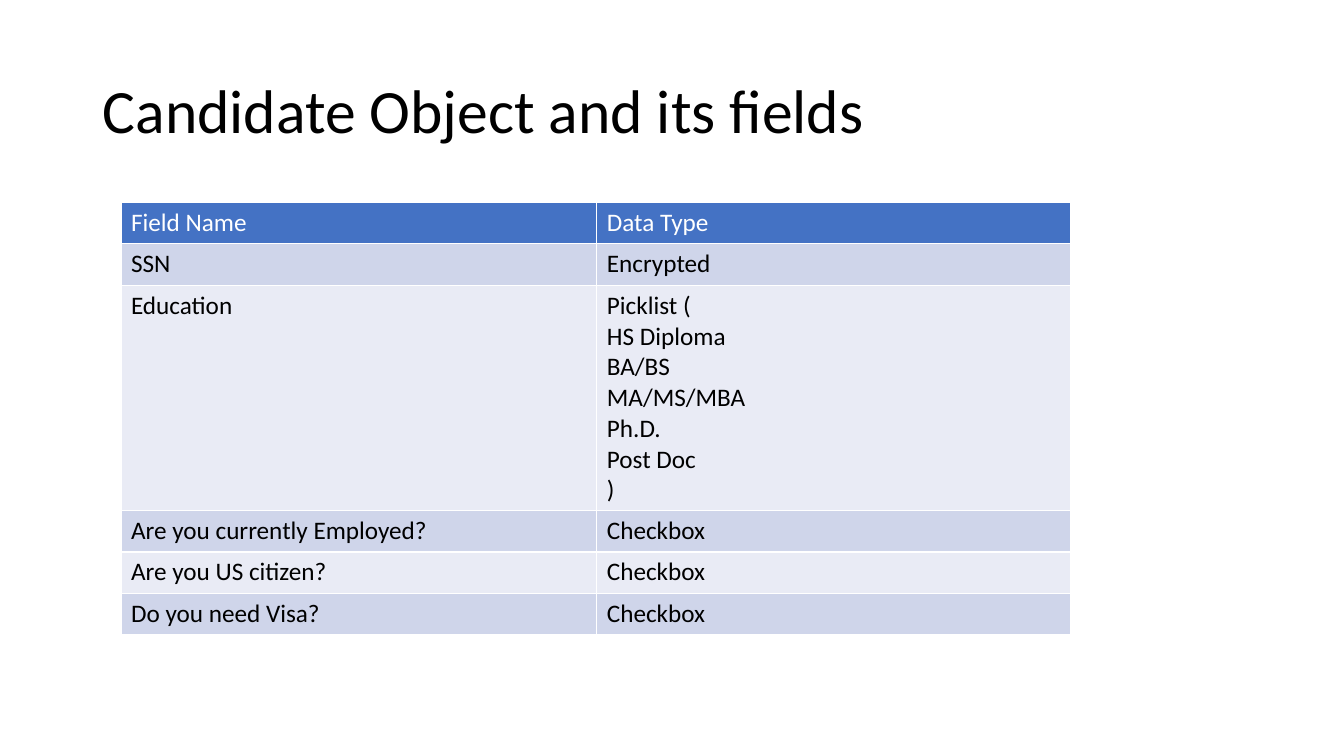
from dataclasses import dataclass

from pptx import Presentation
from pptx.dml.color import RGBColor
from pptx.enum.text import MSO_ANCHOR, PP_ALIGN
from pptx.util import Inches, Pt

LEFT = PP_ALIGN.LEFT
MIDDLE = MSO_ANCHOR.MIDDLE
TITLE_ONLY = 5


@dataclass(frozen=True)
class Theme:
    font: str = "Calibri"
    title_size: int = 44
    cell_size: int = 18
    text: str = "000000"
    header_text: str = "FFFFFF"
    header_fill: str = "4472C4"
    band_fills: tuple[str, str] = ("CFD5EA", "E9EBF5")


@dataclass(frozen=True)
class Field:
    name: str
    data_type: tuple[str, ...]


THEME = Theme()
HEADER = Field("Field Name", ("Data Type",))
FIELDS = [
    Field("SSN", ("Encrypted",)),
    Field("Education", ("Picklist (", "HS Diploma", "BA/BS", "MA/MS/MBA",
                        "Ph.D.", "Post Doc", ")")),
    Field("Are you currently Employed?", ("Checkbox",)),
    Field("Are you US citizen?", ("Checkbox",)),
    Field("Do you need Visa?", ("Checkbox",)),
]
COLUMN_WIDTHS = (4.72, 4.7)
LINE_HEIGHT, ROW_PADDING = 0.3, 0.11


def write_lines(frame, lines: tuple[str, ...], size: int, color: str) -> None:
    """Write each line as one left-aligned paragraph."""
    for index, line in enumerate(lines):
        paragraph = frame.add_paragraph() if index else frame.paragraphs[0]
        paragraph.alignment = LEFT
        run = paragraph.add_run()
        run.text = line
        run.font.name = THEME.font
        run.font.size = Pt(size)
        run.font.bold = False
        run.font.color.rgb = RGBColor.from_string(color)


def add_title(slide, text: str) -> None:
    title = slide.shapes.title
    title.left, title.top = Inches(0.92), Inches(0.4)
    title.width, title.height = Inches(11.5), Inches(1.45)
    frame = title.text_frame
    frame.word_wrap = True
    frame.vertical_anchor = MIDDLE
    write_lines(frame, (text,), THEME.title_size, THEME.text)
    frame.paragraphs[0].line_spacing = 0.9


def add_field_table(slide, fields: list[Field]) -> None:
    rows = [HEADER, *fields]
    heights = [ROW_PADDING + LINE_HEIGHT * len(row.data_type) for row in rows]
    table = slide.shapes.add_table(
        len(rows), len(COLUMN_WIDTHS), Inches(1.2), Inches(2.01),
        Inches(sum(COLUMN_WIDTHS)), Inches(sum(heights))).table
    for column, width in zip(table.columns, COLUMN_WIDTHS):
        column.width = Inches(width)

    for index, (row, height) in enumerate(zip(rows, heights)):
        table.rows[index].height = Inches(height)
        is_header = index == 0
        fill = THEME.header_fill if is_header else THEME.band_fills[(index - 1) % 2]
        color = THEME.header_text if is_header else THEME.text
        for cell, lines in zip(table.rows[index].cells, ((row.name,), row.data_type)):
            cell.fill.solid()
            cell.fill.fore_color.rgb = RGBColor.from_string(fill)
            write_lines(cell.text_frame, lines, THEME.cell_size, color)


def main() -> None:
    presentation = Presentation()
    presentation.slide_width = Inches(13.33)
    presentation.slide_height = Inches(7.5)
    slide = presentation.slides.add_slide(presentation.slide_layouts[TITLE_ONLY])

    # Heading
    add_title(slide, "Candidate Object and its fields")
    # Candidate fields and their data types
    add_field_table(slide, FIELDS)

    presentation.save("out.pptx")


if __name__ == "__main__":
    main()
